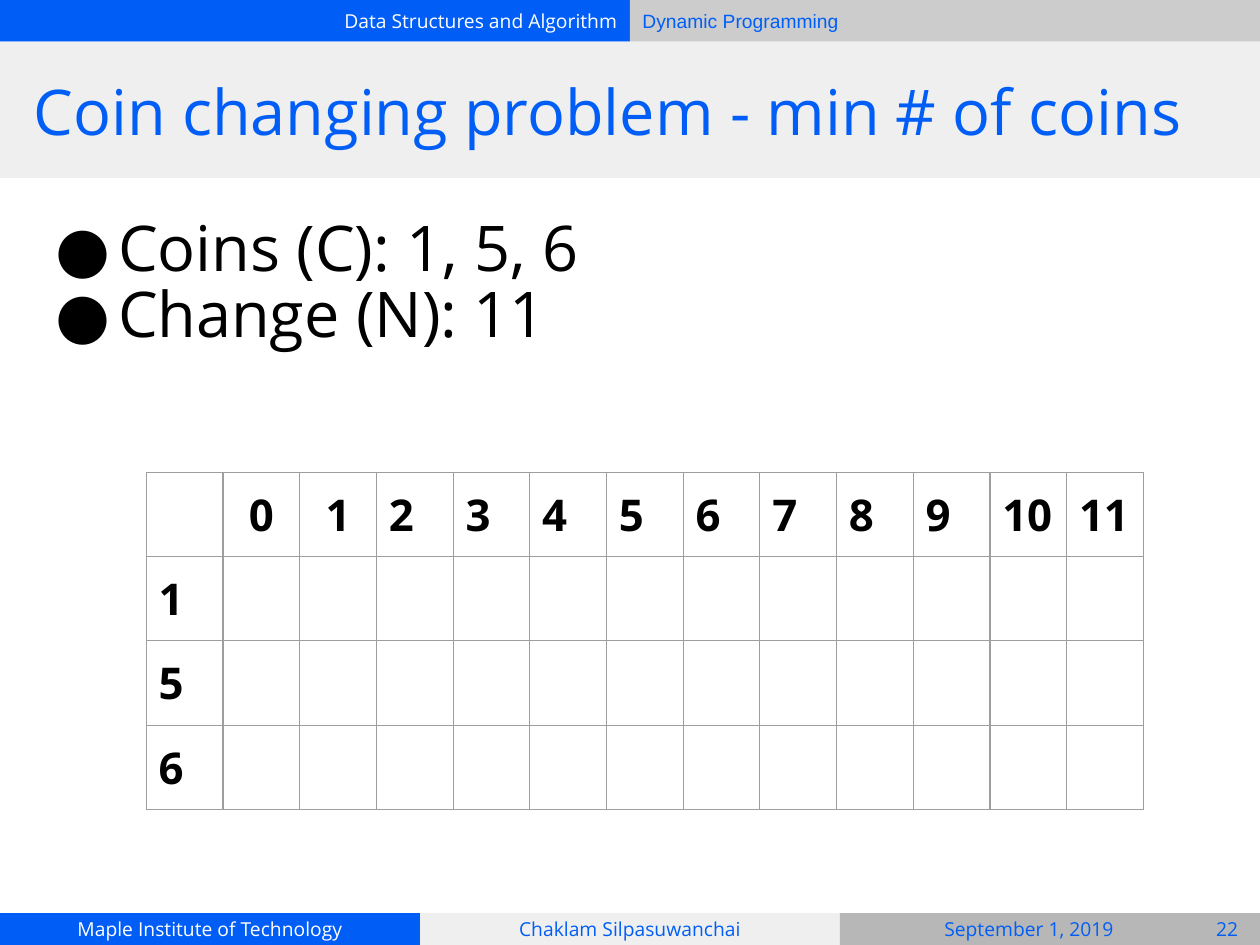
from dataclasses import dataclass

from lxml.etree import SubElement as Sub
from pptx import Presentation
from pptx.dml.color import RGBColor as Rgb
from pptx.enum.shapes import MSO_SHAPE as Shape
from pptx.enum.text import MSO_ANCHOR as Anchor, MSO_AUTO_SIZE as Fit, PP_ALIGN as Align
from pptx.oxml.ns import qn
from pptx.util import Cm, Pt


@dataclass
class Theme:
    font: str = "Open Sans"
    plain: str = "Arial"
    blue: str = "005EF6"
    white: str = "FFFFFF"
    black: str = "000000"
    pale: str = "EFEFEF"
    light: str = "CCCCCC"
    mid: str = "B7B7B7"
    line: str = "9E9E9E"
    small: int = 11
    cell: int = 25
    big: int = 36


theme = Theme()


def write(para, text, size=theme.small, color=theme.blue, font=theme.font,
          align=Align.LEFT, bold=False):
    para.alignment = align
    run = para.add_run()
    run.text = text
    run.font.size = Pt(size)
    run.font.name = font
    run.font.bold = bold
    run.font.color.rgb = Rgb.from_string(color)


def place(shape, left, top, width, height, pad):
    shape.left, shape.top = Cm(left), Cm(top)
    shape.width, shape.height = Cm(width), Cm(height)
    frame = shape.text_frame
    frame.word_wrap = True
    frame.auto_size = Fit.NONE
    frame.vertical_anchor = Anchor.MIDDLE
    frame.margin_left = frame.margin_right = Cm(0.25)
    frame.margin_top = frame.margin_bottom = Cm(pad)
    return frame


deck = Presentation()
deck.slide_width, deck.slide_height = Cm(25.4), Cm(19.05)
slide = deck.slides.add_slide(deck.slide_layouts[5])
shapes = slide.shapes

head, foot, third = 0.84, 0.64, 25.4 / 3
base = 19.05 - foot
bars = [
    (0, 0, 12.7, head, theme.blue, "Data Structures and Algorithm",
     dict(color=theme.white, align=Align.RIGHT)),
    (12.7, 0, 12.7, head, theme.light, "Dynamic Programming", dict(font=theme.plain)),
    (0, base, third, foot, theme.blue, "Maple Institute of Technology",
     dict(color=theme.white, align=Align.CENTER)),
    (third, base, third, foot, theme.pale, "Chaklam Silpasuwanchai",
     dict(align=Align.CENTER)),
    (2 * third, base, third, foot, theme.mid, "", {}),
    (0, head, 25.4, 2.75, theme.pale, "", {}),
]
for left, top, width, height, fill, text, style in bars:
    bar = shapes.add_shape(Shape.RECTANGLE, 0, 0, 0, 0)
    frame = place(bar, left, top, width, height, 0.25)
    bar.shadow.inherit = False
    bar.fill.solid()
    bar.fill.fore_color.rgb = Rgb.from_string(fill)
    bar.line.fill.background()
    if text:
        write(frame.paragraphs[0], text, **style)

for left, width, text in [(17.15, 7.19, "September 1, 2019"), (24.08, 1.32, "22")]:
    note = shapes.add_textbox(0, 0, 0, 0)
    frame = place(note, left, base, width, foot, 0.25)
    write(frame.paragraphs[0], text, align=Align.CENTER)

title = shapes.title
title.element.getparent().append(title.element)
frame = place(title, 0.43, head, 24.56, 2.75, 0.13)
write(frame.paragraphs[0], "Coin changing problem - min # of coins", size=theme.big)

body = shapes.add_textbox(0, 0, 0, 0)
frame = place(body, 0.86, 4.27, 23.67, 3.94, 0.13)
frame.vertical_anchor = Anchor.TOP
for i, text in enumerate(["Coins (C): 1, 5, 6", "Change (N): 11"]):
    para = frame.add_paragraph() if i else frame.paragraphs[0]
    para.line_spacing = 0.88
    para.space_before = Pt(0 if i else 5)
    write(para, text, size=theme.big, color=theme.black)
    props = para._p.get_or_add_pPr()
    props.set("marL", str(Cm(1.27)))
    props.set("indent", str(-Cm(1.27)))
    Sub(props, qn("a:buFont"), typeface=theme.font)
    Sub(props, qn("a:buChar"), char="●")

coins = [1, 5, 6]
grid = [[""] + [str(n) for n in range(12)]]
grid += [[str(coin)] + [""] * 12 for coin in coins]
table = shapes.add_table(len(grid), len(grid[0]), Cm(2.95), Cm(9.52), Cm(20.1), Cm(6.8)).table
table.first_row = table.horz_banding = False
for r, row in enumerate(grid):
    for c, text in enumerate(row):
        cell = table.cell(r, c)
        cell.margin_left = cell.margin_right = Cm(0.25)
        cell.margin_top = cell.margin_bottom = Cm(0.25)
        props = cell._tc.get_or_add_tcPr()
        for side in ("lnL", "lnR", "lnT", "lnB"):
            edge = Sub(props, qn("a:" + side), w=str(Pt(0.75)))
            Sub(Sub(edge, qn("a:solidFill")), qn("a:srgbClr"), val=theme.line)
        cell.fill.background()
        if text:
            align = Align.CENTER if r == 0 and c in (1, 2) else Align.LEFT
            write(cell.text_frame.paragraphs[0], text, size=theme.cell,
                  color=theme.black, align=align, bold=True)

deck.save("out.pptx")
